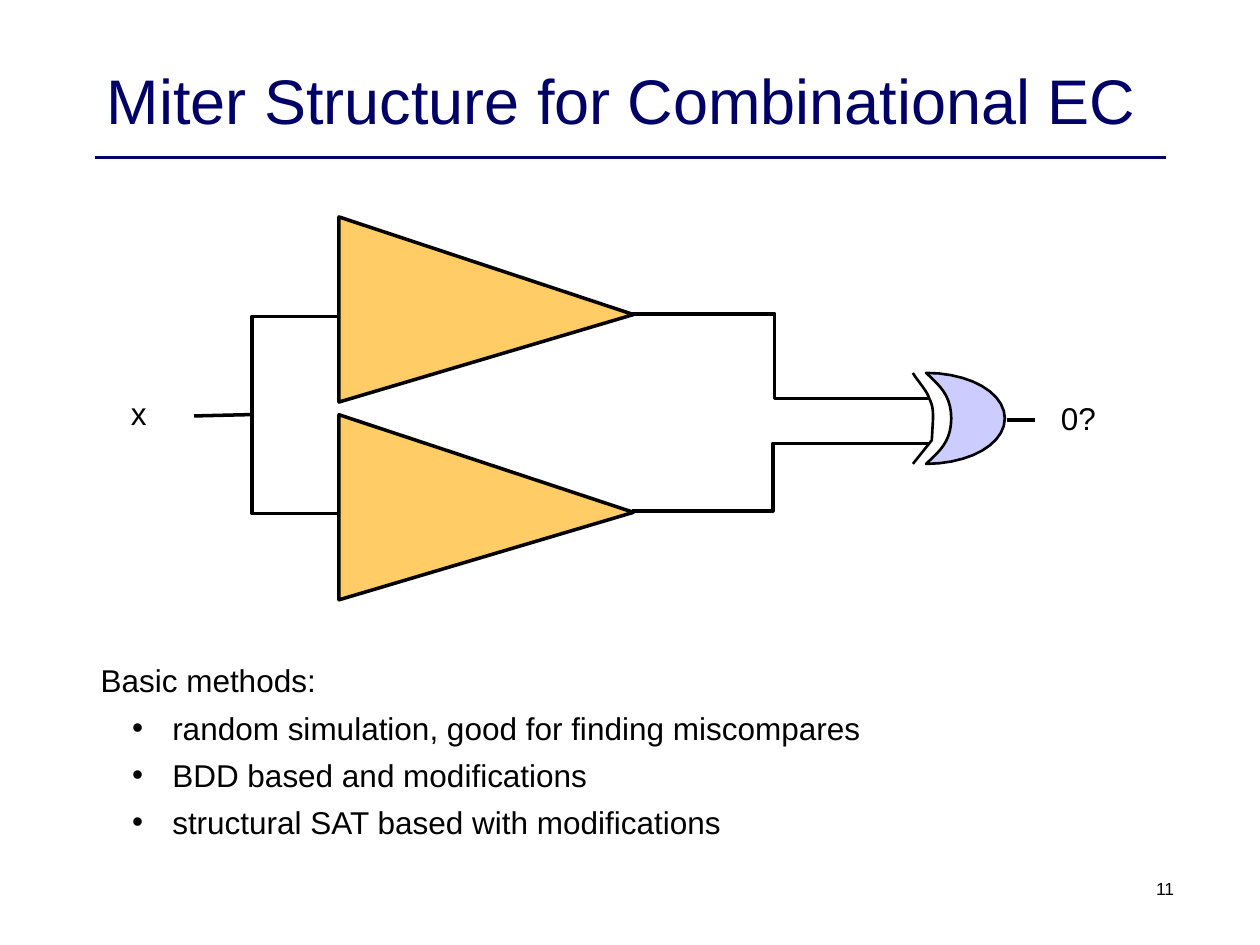
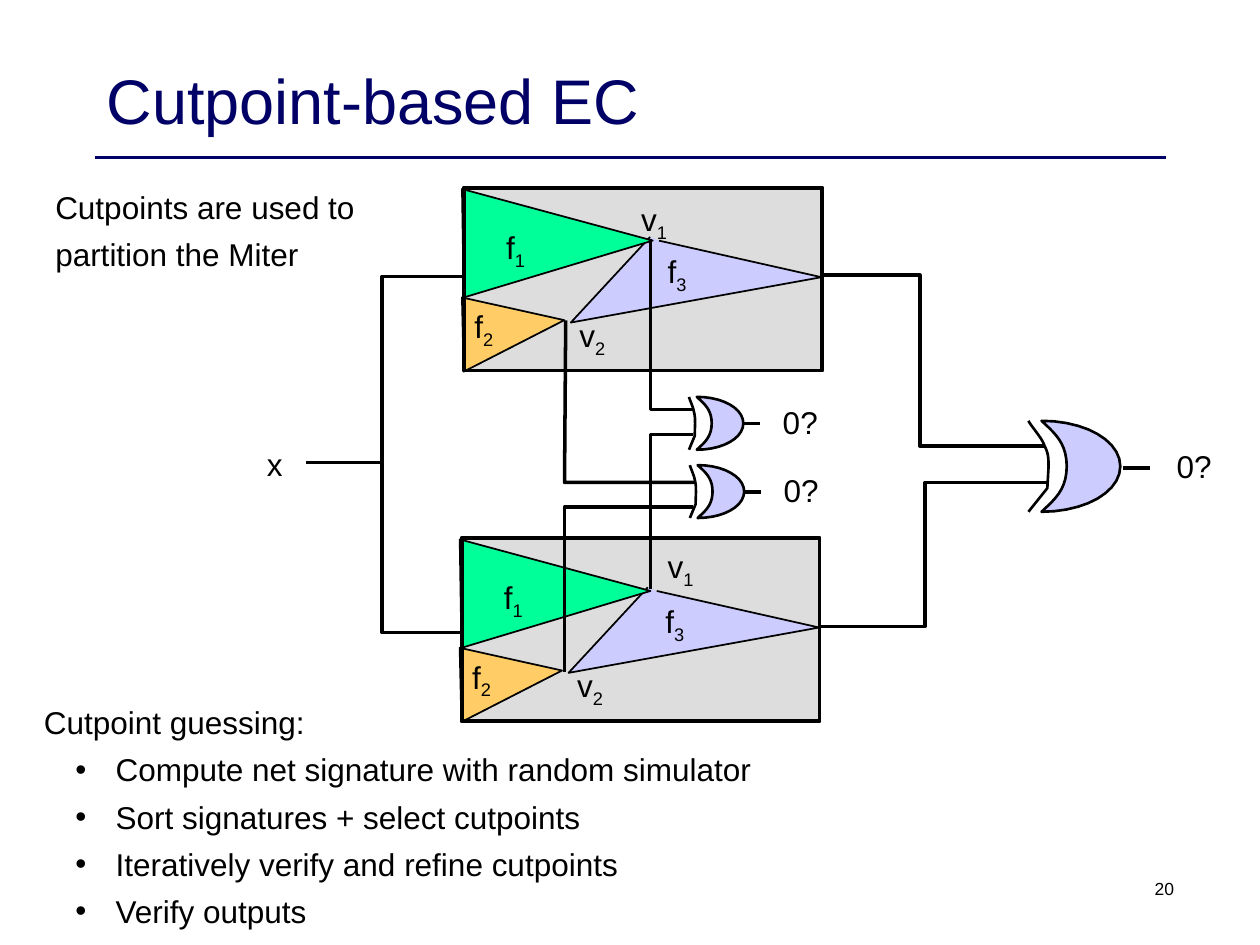
"""Build two slides on miter structures and cutpoints for equivalence checking."""
from lxml.etree import SubElement
from pptx import Presentation
from pptx.dml.color import RGBColor as RGB
from pptx.enum.shapes import MSO_CONNECTOR as LINK, MSO_SHAPE as FORM
from pptx.enum.text import MSO_ANCHOR as ANCHOR, PP_ALIGN as ALIGN
from pptx.oxml.ns import qn
from pptx.util import Pt

HUES = {"navy": "000066", "ink": "000000", "gold": "FFCC66",
        "lilac": "CCCCFF", "mint": "00FF99", "gray": "DDDDDD"}


def text(page, x, y, w, h, *lines, size=18, hue="ink", align=ALIGN.LEFT,
         anchor=ANCHOR.TOP, sub="", dots=False, gap=5.4):
    frame = page.shapes.add_textbox(Pt(x), Pt(y), Pt(w), Pt(h)).text_frame
    frame.word_wrap = True
    frame.vertical_anchor = anchor
    for row, line in enumerate(lines):
        para = frame.paragraphs[0] if row == 0 else frame.add_paragraph()
        para.alignment = align
        para.space_before = Pt(gap)
        for part in filter(None, (line, sub)):
            run = para.add_run()
            run.text = part
            run.font.name = "Arial"
            run.font.size = Pt(size)
            run.font.color.rgb = RGB.from_string(HUES[hue])
        if sub:
            run.font._element.set("baseline", "-25000")
        if dots and row:
            props = para._p.get_or_add_pPr()
            props.set("marL", str(Pt(41)))
            props.set("indent", str(Pt(-23)))
            SubElement(props, qn("a:buFont"), typeface="Arial")
            SubElement(props, qn("a:buChar"), char="•")


def draw(page, spots, fill=None, width=2, hue="ink", close=False):
    spots = [(Pt(x), Pt(y)) for x, y in spots]
    if len(spots) == 2:
        item = page.shapes.add_connector(LINK.STRAIGHT, *spots[0], *spots[1])
    else:
        pen = page.shapes.build_freeform(*spots[0], scale=1.0)
        pen.add_line_segments(spots[1:], close=close)
        item = pen.convert_to_shape()
        item.shadow.inherit = False
        if fill:
            item.fill.solid()
            item.fill.fore_color.rgb = RGB.from_string(HUES[fill])
        else:
            item.fill.background()
    item.line.color.rgb = RGB.from_string(HUES[hue])
    item.line.width = Pt(width)
    if len(spots) == 2:
        SubElement(item._element.spPr, qn("a:effectLst"))


deck = Presentation()
deck.slide_width, deck.slide_height = Pt(720), Pt(540)
pages = []
for title, num in (("Miter Structure for Combinational EC", "11"),
                   ("Cutpoint-based EC", "20")):
    page = deck.slides.add_slide(deck.slide_layouts[6])
    draw(page, [(54, 90), (666, 90)], width=2.25, hue="navy")
    text(page, 54, 12, 612, 90, title, size=36, hue="navy",
         anchor=ANCHOR.MIDDLE, gap=0)
    text(page, 528, 498, 150, 36, num, size=10, align=ALIGN.RIGHT, gap=0)
    pages.append(page)
miter, cuts = pages

for top in (124, 237):
    draw(miter, [(193.7, top), (193.7, top + 105.8), (362, top + 55.8)],
         "gold", close=True)

for x, y, mark, left, drop in ((264, 107, "v", 95.3, 4),
                               (262.7, 307.2, "v", 111.7, 1.7)):
    for fill in ("gray", None):
        box = cuts.shapes.add_shape(FORM.RECTANGLE, Pt(x + 1.2), Pt(y + 0.3),
                                    Pt(204.5), Pt(104.4))
        box.shadow.inherit = False
        box.line.color.rgb = RGB.from_string(HUES["ink"])
        box.line.width = Pt(2)
        if not fill:
            box.fill.background()
            continue
        box.fill.solid()
        box.fill.fore_color.rgb = RGB.from_string(HUES[fill])
        for hue, close, cone in (
                ("lilac", False, [(112.6, 30.5), (205.4, 51.4), (62.2, 77.3), (107.5, 28.4)]),
                ("mint", True, [(0, 1), (109, 30.5), (1, 63)]),
                ("gold", True, [(0, 63), (58.5, 76), (1, 105.4)])):
            draw(cuts, [(x + dx, y + dy) for dx, dy in cone], hue, 1, close=close)
    for name, sub, dx, dy in (("f", "1", 18.2, 19.7), ("f", "2", 0, 65),
                              ("f", "3", 110.4, 33.4), ("v", "2", 60, 70),
                              (mark, "1", left, drop)):
        text(cuts, x + dx, y + dy, 36, 32, name, sub=sub)

BODY = [[(0, 0), (0.16, 0.13), (0.32, 0.24), (0.32, 0.5)],
        [(0.32, 0.5), (0.32, 0.76), (0.16, 0.87), (0, 1)],
        [(0, 1), (0.56, 1), (1, 0.78), (1, 0.5)],
        [(1, 0.5), (1, 0.22), (0.56, 0), (0, 0)]]
BACK = [[(0, 0), (0.13, 0.06), (0.69, 0.19), (0.81, 0.28)],
        [(0.81, 0.28), (1, 0.36), (1, 0.43), (1, 0.5)]]
STEPS = [n / 10 for n in range(11)]
body, back = [[tuple((1 - t) ** 3 * a + 3 * t * (1 - t) ** 2 * b
                     + 3 * t * t * (1 - t) * c + t ** 3 * d
                     for a, b, c, d in zip(*arc))
               for arc in arcs for t in STEPS] for arcs in (BODY, BACK)]
back += [(0.94, 0.74), (0, 1)]

BIG = (45, 52, 7.5, 11.5, 46.5, 62, 27, 70, 11.5)
SMALL = (26.6, 30.2, 4.5, 3.5, 27, 36, 15.3, 42, 0)
for page, x, y, kind in ((miter, 529.2, 213.1, BIG), (cuts, 595.2, 240.5, BIG),
                         (cuts, 398.2, 226.8, SMALL), (cuts, 398.7, 265.8, SMALL)):
    w, h, shift, bend, start, end, mid, left, drop = kind
    draw(page, [(x + w * u, y + h * v) for u, v in body], "lilac", 1.5, close=True)
    draw(page, [(x - shift + bend * u, y + h * v) for u, v in back], width=1.5)
    draw(page, [(x + start, y + mid), (x + end, y + mid)])
    text(page, x + left, y + drop, 40, 29, "0?")

for page, wires in (
        (miter, ([(361, 179.3), (442.6, 179.3), (442.6, 227.7), (531.5, 227.7)],
                 [(361, 291.9), (441.7, 291.9), (441.7, 253.4), (530.6, 253.4)],
                 [(193.7, 180.8), (144, 180.8), (144, 293.5), (193.7, 293.5)],
                 [(144, 236.9), (111, 237.7)])),
        (cuts, ([(265, 158), (218.2, 158), (218.2, 361.4), (264.2, 361.4)],
                [(468.7, 358), (528.5, 358), (528.5, 275.8), (598.3, 275.8)],
                [(469.4, 157.2), (525.7, 157.2), (525.7, 254.9), (597, 254.9)],
                [(218.2, 264.2), (175, 264.2)],
                [(371.7, 136.8), (371.7, 234), (396, 234)],
                [(371.7, 336.5), (371.7, 248.2), (396, 248.2)],
                [(322.6, 383.8), (322.6, 289.6), (396, 289.6)],
                [(323.3, 183), (322.6, 275.6), (396.7, 275.6)]))):
    for wire in wires:
        draw(page, wire)

text(miter, 67.7, 221.8, 24, 29, "x")
text(cuts, 145.4, 250.6, 24, 29, "x")
text(miter, 50.4, 374.4, 454, 133, "Basic methods:",
     "random simulation, good for finding miscompares",
     "BDD based and modifications",
     "structural SAT based with modifications", dots=True)
text(cuts, 18, 398.2, 425, 133, "Cutpoint guessing:",
     "Compute net signature with random simulator",
     "Sort signatures + select cutpoints",
     "Iteratively verify and refine cutpoints",
     "Verify outputs", dots=True)
text(cuts, 24.5, 103.7, 195, 55.4, "Cutpoints are used to", "partition the Miter")

deck.save("out.pptx")
